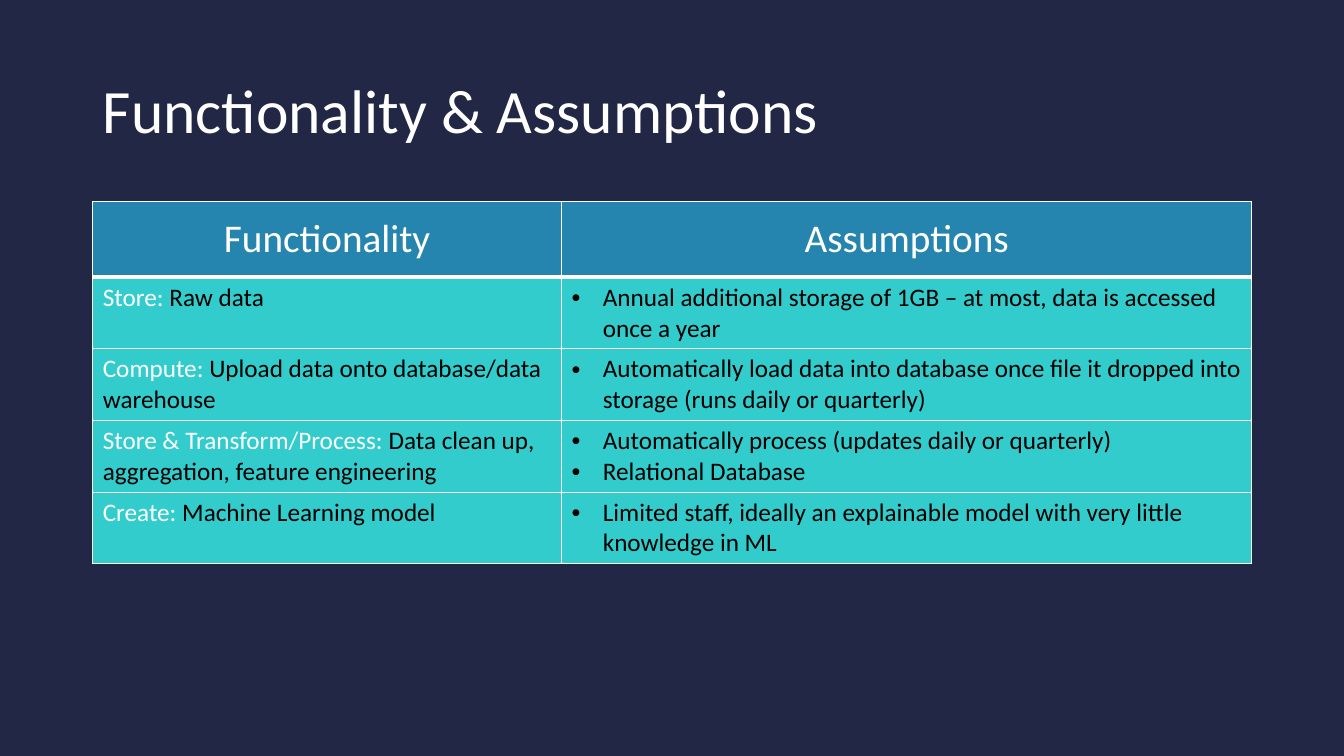
from lxml import etree
from pptx import Presentation
from pptx import util as u
from pptx.dml.color import RGBColor
from pptx.enum import text
from pptx.oxml import ns

WHITE, BLACK = "FFFFFF", "000000"
NAVY, BLUE, TEAL = "212745", "2685AF", "33CCCC"


def paint(target, shade):
    if hasattr(target, "solid"):
        target.solid()
        target = target.fore_color
    target.rgb = RGBColor.from_string(shade)


class Deck:
    font = "Calibri"

    def __init__(self):
        self.file = Presentation()
        self.file.slide_width = u.Inches(13.33)
        self.file.slide_height = u.Inches(7.5)
        self.slide = self.file.slides.add_slide(self.file.slide_layouts[5])
        paint(self.slide.background.fill, NAVY)

    def wide(self, share):
        return round(self.file.slide_width * share / 100)

    def high(self, share):
        return round(self.file.slide_height * share / 100)

    def style(self, run, size, shade):
        run.font.name = self.font
        run.font.size = u.Pt(size)
        paint(run.font.color, shade)

    def title(self, words, left, top, width, height):
        shape = self.slide.shapes.title
        shape.left, shape.top = self.wide(left), self.high(top)
        shape.width, shape.height = self.wide(width), self.high(height)
        frame = shape.text_frame
        frame.text = words
        frame.vertical_anchor = text.MSO_ANCHOR.MIDDLE
        line = frame.paragraphs[0]
        line.alignment = text.PP_ALIGN.LEFT
        line.line_spacing = 0.9
        self.style(line.runs[0], 44, WHITE)

    def table(self, left, top, cols, rows):
        frame = self.slide.shapes.add_table(
            len(rows), len(cols), self.wide(left), self.high(top),
            self.wide(sum(cols)), self.high(sum(rows)))
        grid = frame.table
        for col, share in zip(grid.columns, cols):
            col.width = self.wide(share)
        for row, share in zip(grid.rows, rows):
            row.height = self.high(share)
        return grid

    def cell(self, cell, shade, **edges):
        paint(cell.fill, shade)
        props = cell._tc.get_or_add_tcPr()
        for spot, side in enumerate("LRTB"):
            width = u.Pt(edges.get(side, 1))
            line = etree.Element(ns.qn(f"a:ln{side}"), w=str(width))
            fill = etree.SubElement(line, ns.qn("a:solidFill"))
            etree.SubElement(fill, ns.qn("a:srgbClr"), val=WHITE)
            props.insert(spot, line)

    def head(self, cell, words):
        self.cell(cell, BLUE, B=3)
        cell.vertical_anchor = text.MSO_ANCHOR.MIDDLE
        line = cell.text_frame.paragraphs[0]
        line.text = words
        line.alignment = text.PP_ALIGN.CENTER
        self.style(line.runs[0], 28, WHITE)
        line.runs[0].font.bold = False

    def task(self, cell, label, words):
        line = cell.text_frame.paragraphs[0]
        for part, shade in ((label + ": ", WHITE), (words, BLACK)):
            run = line.add_run()
            run.text = part
            self.style(run, 18, shade)

    def list(self, cell, items):
        cell.text_frame.text = "\n".join(items)
        for line in cell.text_frame.paragraphs:
            props = line._p.get_or_add_pPr()
            dent = u.Inches(0.31)
            props.set("marL", str(dent))
            props.set("indent", str(-dent))
            etree.SubElement(props, ns.qn("a:buFont"), typeface="Arial")
            etree.SubElement(props, ns.qn("a:buChar"), char="•")
            self.style(line.runs[0], 18, BLACK)


def main():
    tasks = [
        ("Store", "Raw data",
         ["Annual additional storage of 1GB – at most, data is accessed once a year"]),
        ("Compute", "Upload data onto database/data warehouse",
         ["Automatically load data into database once file it dropped into "
          "storage (runs daily or quarterly)"]),
        ("Store & Transform/Process",
         "Data clean up, aggregation, feature engineering",
         ["Automatically process (updates daily or quarterly)",
          "Relational Database"]),
        ("Create", "Machine Learning model",
         ["Limited staff, ideally an explainable model with very little "
          "knowledge in ML"]),
    ]
    deck = Deck()
    deck.title("Functionality & Assumptions", 6.9, 5.33, 86.25, 19.33)
    grid = deck.table(6.9, 26.67, [34.88, 51.37], [10] + [9.47] * len(tasks))
    for col, words in enumerate(("Functionality", "Assumptions")):
        deck.head(grid.cell(0, col), words)
    for row, (label, words, items) in enumerate(tasks, 1):
        left, right = grid.cell(row, 0), grid.cell(row, 1)
        for cell in (left, right):
            deck.cell(cell, TEAL, T=3 if row == 1 else 1)
        deck.task(left, label, words)
        deck.list(right, items)
    deck.file.save("out.pptx")


if __name__ == "__main__":
    main()
